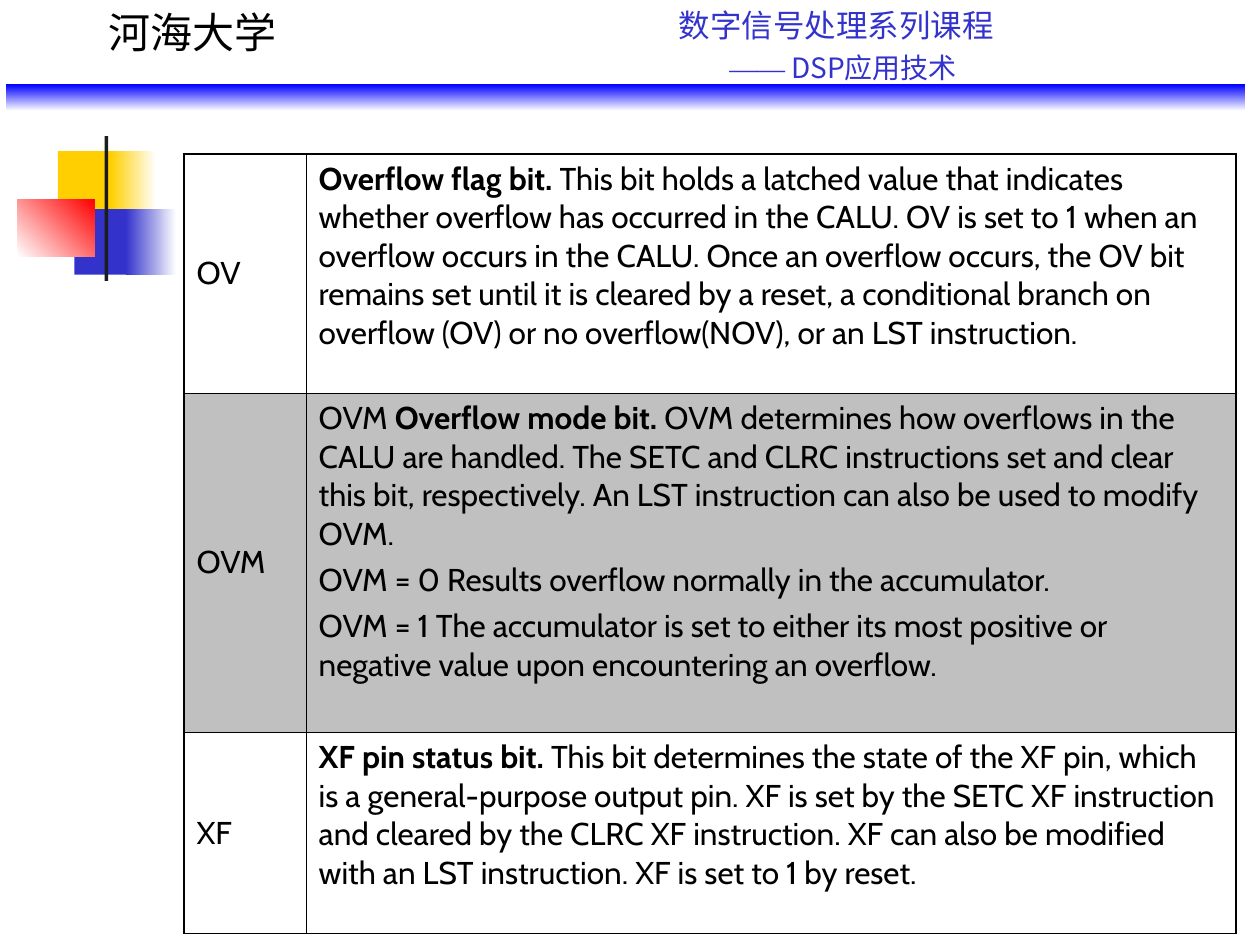
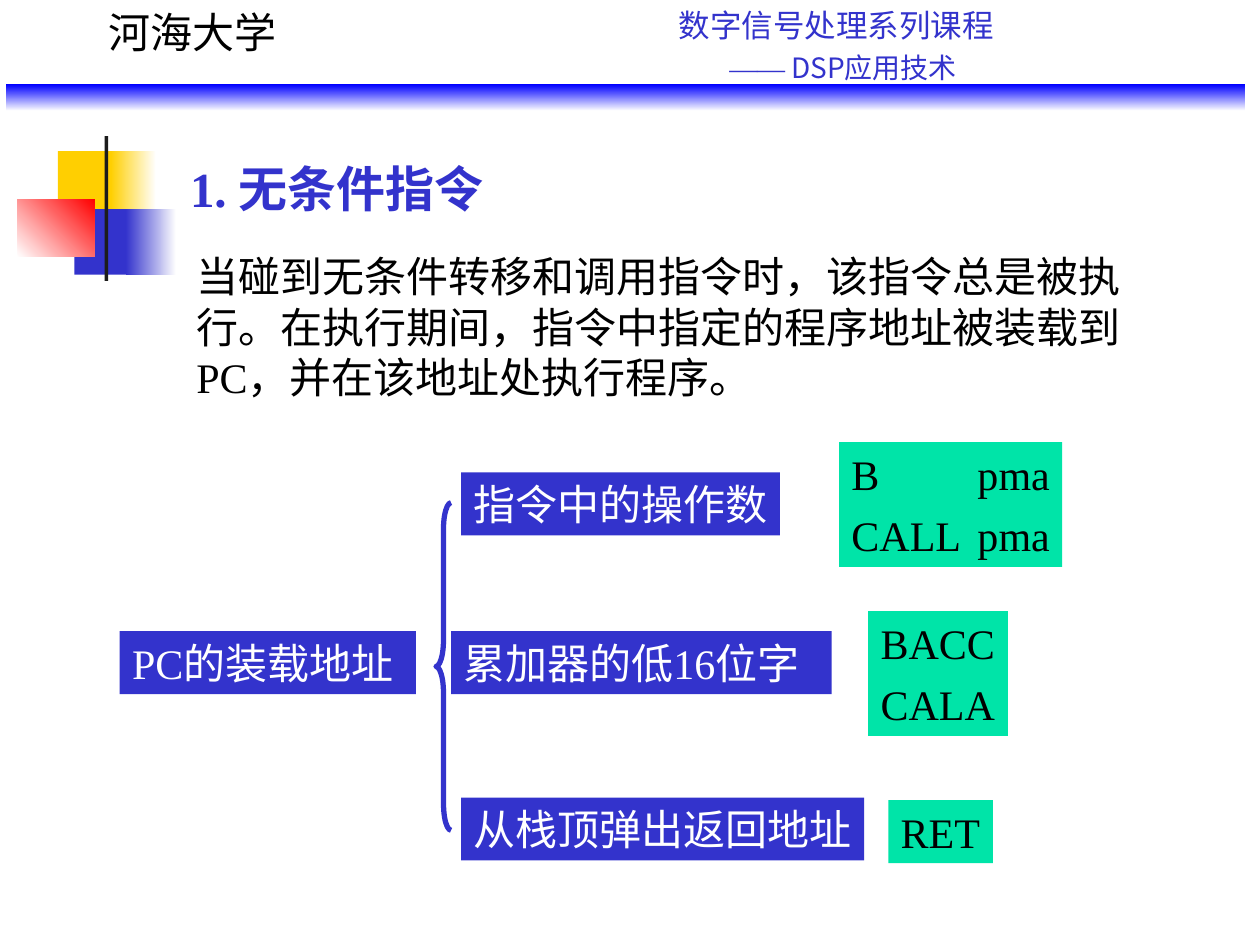
from lxml import etree
from pptx import Presentation, util as u
from pptx.dml.color import RGBColor
from pptx.enum import shapes, text
from pptx.oxml.ns import qn

COLOURS = {
    "white": "FFFFFF", "black": "000000", "blue": "3333CC", "band": "0000FF",
    "yellow": "FFCF01", "red": "FF0000", "bar": "1C1C1C", "grey": "C0C0C0",
    "mint": "00E4A8",
}
SERIF, SANS, CJK = "Times New Roman", "Cabin", "Noto Sans CJK SC"

# Shared content: position, then one colour, or two colours and a gradient angle
EMBLEM = [
    ((0.46, 1.2, 0.48, 0.52), ("yellow",)),
    ((0.88, 1.2, 0.36, 0.52), ("yellow", "white", 0)),
    ((0.59, 1.66, 0.46, 0.52), ("blue",)),
    ((1, 1.66, 0.4, 0.52), ("blue", "white", 0)),
    ((0.14, 1.58, 0.61, 0.46), ("white", "red", 45)),
    ((0.83, 1.08, 0.03, 1.15), ("bar",)),
]
BAND = ((0.05, 0.67, 9.83, 0.21), ("band", "white", 270))
UNIVERSITY = "河海大学"
COURSE = "数字信号处理系列课程"
COURSE_PART = [("——", {"name": SERIF}), (" DSP应用技术", {})]

# Status bits: name, row height, fill, paragraphs of runs
BOLD = {"bold": True}
STATUS_BITS = [
    ("OV", 1.9, "white", [[
        ("Overflow flag bit. ", BOLD),
        ("This bit holds a latched value that indicates whether overflow has "
         "occurred in the CALU. OV is set to 1 when an overflow occurs in the "
         "CALU. Once an overflow occurs, the OV bit remains set until it is "
         "cleared by a reset, a conditional branch on overflow (OV) or no "
         "overflow(NOV), or an LST instruction.", {})]]),
    ("OVM", 2.69, "grey", [
        [("OVM ", {}), ("Overflow mode bit. ", BOLD),
         ("OVM determines how overflows in the CALU are handled. The SETC and "
          "CLRC instructions set and clear this bit, respectively. An LST "
          "instruction can also be used to modify OVM.", {})],
        [("OVM = 0 Results overflow normally in the accumulator.", {})],
        [("OVM = 1 The accumulator is set to either its most positive or "
          "negative value upon encountering an overflow.", {})]]),
    ("XF", 1.6, "white", [[
        ("XF pin status bit. ", BOLD),
        ("This bit determines the state of the XF pin, which is a "
         "general-purpose output pin. XF is set by the SETC XF instruction and "
         "cleared by the CLRC XF instruction. XF can also be modified with an "
         "LST instruction. XF is set to 1 by reset.", {})]]),
]
COLUMNS = (0.97, 7.38)
THICK, THIN = 1.08, 0.45

# Unconditional instructions
TITLE = "1. 无条件指令"
BODY = ("当碰到无条件转移和调用指令时，该指令总是被执行。在执行期间，"
        "指令中指定的程序地址被装载到PC，并在该地址处执行程序。")
ADDRESS_BOXES = [
    ((0.95, 5.01, 2.35, 0.5), "PC的装载地址"),
    ((3.66, 3.75, 2.53, 0.5), "指令中的操作数"),
    ((3.58, 5.01, 3.02, 0.5), "累加器的低16位字"),
    ((3.66, 6.33, 3.2, 0.5), "从栈顶弹出返回地址"),
]
INSTRUCTION_BOXES = [
    ((6.66, 3.51, 1.77, 0.99), "B\tpma", "CALL\tpma"),
    ((6.89, 4.85, 1.11, 0.99), "BACC", "CALA"),
    ((7.05, 6.35, 0.83, 0.5), "RET"),
]
OPERAND_TAB = 1
BRACE = (3.46, 3.99, 0.12, 2.6)


def inches(place):
    return [u.Inches(length) for length in place]


def rgb(name):
    return RGBColor.from_string(COLOURS[name])


def paint(fill, colours):
    if len(colours) == 1:
        fill.solid()
        fill.fore_color.rgb = rgb(colours[0])
        return
    fill.gradient()
    fill.gradient_angle = colours[2]
    for stop, name in zip(fill.gradient_stops, colours):
        stop.color.rgb = rgb(name)


def add_tab(paragraph, position):
    tabs = etree.SubElement(paragraph._p.get_or_add_pPr(), qn("a:tabLst"))
    etree.SubElement(tabs, qn("a:tab"), pos=str(u.Inches(position)), algn="l")


def write(frame, paragraphs, size, colour, font=SERIF, bold=None, gap=6):
    """Fill a frame; a paragraph is a string or a list of (words, font changes)."""
    for index, content in enumerate(paragraphs):
        paragraph = frame.paragraphs[0] if index == 0 else frame.add_paragraph()
        paragraph.alignment = text.PP_ALIGN.LEFT
        if index:
            paragraph.space_before = u.Pt(gap)
        runs = [(content, {})] if isinstance(content, str) else content
        for words, changes in runs:
            run = paragraph.add_run()
            run.text = words
            for key, value in changes.items():
                setattr(run.font, key, value)
        if "\t" in paragraph.text:
            add_tab(paragraph, OPERAND_TAB)
        paragraph.font.size = u.Pt(size)
        paragraph.font.bold = bold
        paragraph.font.color.rgb = rgb(colour)
        paragraph.font.name = font
        # Punctuation stays inside the margin; East Asian font sets line height
        properties = paragraph._p.pPr
        properties.set("hangingPunct", "0")
        defaults = properties.find(qn("a:defRPr"))
        defaults.set("lang", "zh-CN")
        etree.SubElement(defaults, qn("a:ea")).set("typeface", SANS)


def add_text(slide, place, paragraphs, size, colour, wrap=False, **style):
    box = slide.shapes.add_textbox(*inches(place))
    box.text_frame.word_wrap = wrap
    write(box.text_frame, paragraphs, size, colour, **style)
    return box


def add_block(slide, place, colours):
    block = slide.shapes.add_shape(shapes.MSO_SHAPE.RECTANGLE, *inches(place))
    block.shadow.inherit = False
    block.line.fill.background()
    paint(block.fill, colours)
    return block


def add_label(slide, place, lines, fill, colour):
    label = add_block(slide, place, (fill,))
    frame = label.text_frame
    # The free right margin keeps each line whole in its snug box
    frame.word_wrap = True
    frame.margin_right = 0
    frame.vertical_anchor = text.MSO_ANCHOR.TOP
    write(frame, lines, 24, colour)


def add_course_slide(presentation):
    slide = presentation.slides.add_slide(presentation.slide_layouts[6])
    for place, colours in EMBLEM:
        add_block(slide, place, colours)
    # Header
    course = add_text(slide, (4, 0, 5.8, 0.7), [COURSE, COURSE_PART], 18, "blue",
                      wrap=True, font=CJK, gap=4)
    for paragraph, size, indent in zip(course.text_frame.paragraphs, (18, 16), (1.29, 1.69)):
        paragraph.font.size = u.Pt(size)
        paragraph._p.pPr.set("marL", str(u.Inches(indent)))
        paragraph._p.pPr.set("indent", "0")
    add_block(slide, *BAND)
    add_text(slide, (0.76, 0, 1.53, 0.5), [UNIVERSITY], 24, "black")
    return slide


def add_borders(cell, widths):
    properties = cell._tc.get_or_add_tcPr()
    for side, width in zip(("lnL", "lnR", "lnT", "lnB"), widths):
        line = etree.SubElement(properties, qn("a:" + side), w=str(u.Pt(width)))
        fill = etree.SubElement(line, qn("a:solidFill"))
        etree.SubElement(fill, qn("a:srgbClr"), val=COLOURS["black"])


def add_status_table(slide):
    heights = [bit[1] for bit in STATUS_BITS]
    place = (1.46, 1.22, sum(COLUMNS), sum(heights))
    table = slide.shapes.add_table(len(heights), len(COLUMNS), *inches(place)).table
    table.first_row = table.horz_banding = False
    for column, width in zip(table.columns, COLUMNS):
        column.width = u.Inches(width)
    last = len(heights) - 1
    for row, (name, height, fill, description) in enumerate(STATUS_BITS):
        table.rows[row].height = u.Inches(height)
        for column, content in enumerate(([name], description)):
            cell = table.cell(row, column)
            outer = (column == 0, column == 1, row == 0, row == last)
            add_borders(cell, [THICK if edge else THIN for edge in outer])
            paint(cell.fill, (fill,))
            write(cell.text_frame, content, 18, "black", font=SANS, gap=4.5)
        table.cell(row, 0).vertical_anchor = text.MSO_ANCHOR.MIDDLE


def add_address_diagram(slide):
    for place, words in ADDRESS_BOXES:
        add_label(slide, place, [words], "blue", "white")
    for place, *lines in INSTRUCTION_BOXES:
        add_label(slide, place, lines, "mint", "black")
    brace = slide.shapes.add_shape(shapes.MSO_SHAPE.LEFT_BRACE, *inches(BRACE))
    brace.shadow.inherit = False
    brace.fill.background()
    brace.line.color.rgb = rgb("blue")
    brace.line.width = u.Pt(3)
    brace.adjustments[0] = 1.75


def main():
    presentation = Presentation()
    presentation.slide_width, presentation.slide_height = inches((10, 7.5))

    # Status bits
    add_status_table(add_course_slide(presentation))

    # Unconditional instructions
    slide = add_course_slide(presentation)
    add_text(slide, (1.41, 1.21, 2.62, 0.57), [TITLE], 28, "blue", bold=True)
    add_text(slide, (1.46, 1.94, 8.19, 1.3), [BODY], 24, "black", wrap=True)
    add_address_diagram(slide)

    presentation.save("out.pptx")


if __name__ == "__main__":
    main()
